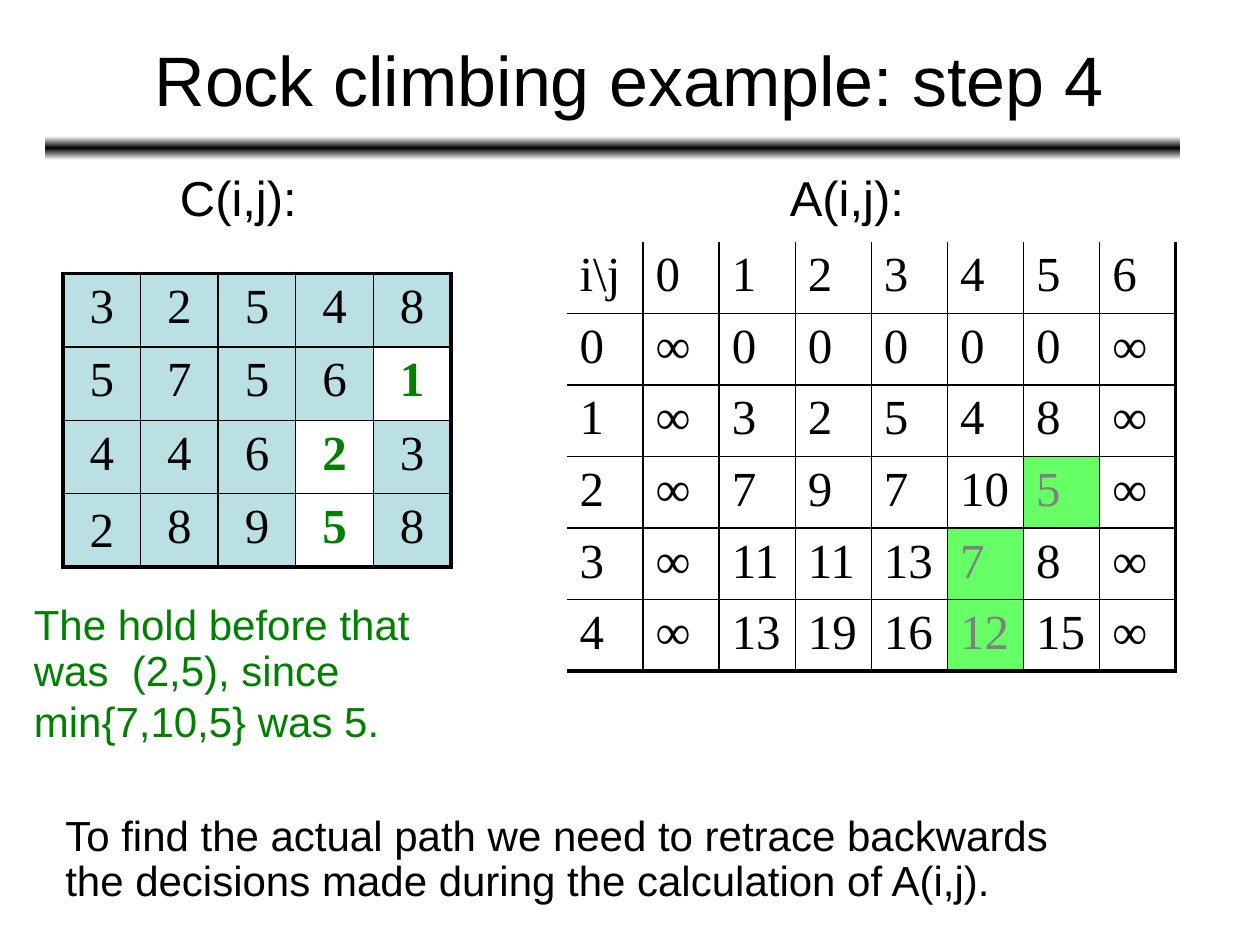
from copy import deepcopy

from lxml.etree import SubElement
from pptx import Presentation
from pptx.dml.color import RGBColor
from pptx.enum.shapes import MSO_SHAPE as Shape
from pptx.enum.text import MSO_ANCHOR as Anchor, MSO_AUTO_SIZE as AutoSize, PP_ALIGN as Align
from pptx.oxml.ns import qn
from pptx.util import Inches, Pt

THEME = {
    "sans": "Arial", "serif": "Times New Roman",
    "title": 40, "large": 28, "body": 24,
    "black": "000000", "white": "FFFFFF", "green": "008000", "gray": "808080",
    "hold": "BBE0E3", "path": "66FF66",
    "thin": 1, "thick": 2.25,
}
NO_STYLE_TABLE = "{2D5ABB26-0587-4C30-8999-92F81FD0307C}"

TITLE = "Rock climbing example: step 4"
COSTS = [
    [3, 2, 5, 4, 8],
    [5, 7, 5, 6, 1],
    [4, 4, 6, 2, 3],
    [2, 8, 9, 5, 8],
]
COST_PATH = {(1, 4), (2, 3), (3, 3)}
TOTALS = [
    ["i\\j", 0, 1, 2, 3, 4, 5, 6],
    [0, "∞", 0, 0, 0, 0, 0, "∞"],
    [1, "∞", 3, 2, 5, 4, 8, "∞"],
    [2, "∞", 7, 9, 7, 10, 5, "∞"],
    [3, "∞", 11, 11, 13, 7, 8, "∞"],
    [4, "∞", 13, 19, 16, 12, 15, "∞"],
]
TOTAL_PATH = {(3, 6), (4, 5), (5, 5)}

# Each text: box, then paragraphs made of (text, size, colour) runs
TEXTS = [
    ((1.33, 1.33, 1.14, 0.52), [[("C(i,j):", "large", "black")]]),
    ((6.17, 1.33, 1.16, 0.52), [[("A(i,j):", "large", "black")]]),
    ((0.42, 6.42, 8.76, 0.82), [
        [("To find the actual path we need to retrace backwards", "body", "black")],
        [("the decisions made during the calculation of A(i,j).", "body", "black")],
    ]),
    ((0.17, 4.75, 4.08, 1.24), [
        [("The hold before that", "body", "green")],
        [("was  (2,5), since", "body", "green")],
        [("min{7,10,5} was 5.", "body", "green"), (" ", "large", "path")],
    ]),
]


def color(name):
    return RGBColor.from_string(THEME[name])


def add_run(paragraph, text, size, color_name, font="sans", bold=False):
    run = paragraph.add_run()
    run.text = str(text)
    run.font.name = THEME[font]
    run.font.size = Pt(THEME[size])
    run.font.bold = bold
    run.font.color.rgb = color(color_name)


def set_borders(cell, widths):
    """Draw the left, right, top and bottom borders; None leaves one out."""
    properties = cell._tc.get_or_add_tcPr()
    for side, width in zip("LRTB", widths):
        line = SubElement(properties, qn(f"a:ln{side}"))
        if width is None:
            SubElement(line, qn("a:noFill"))
            continue
        line.set("w", str(Pt(THEME[width])))
        fill = SubElement(line, qn("a:solidFill"))
        SubElement(fill, qn("a:srgbClr")).set("val", THEME["black"])


def add_grid(slide, values, left, top, cell_width, cell_height, edges, align, style_for):
    """Add a table; edges are the outer borders, style_for gives fill, text colour, bold."""
    rows, columns = len(values), len(values[0])
    frame = slide.shapes.add_table(
        rows, columns, Inches(left), Inches(top),
        Inches(cell_width * columns), Inches(cell_height * rows))
    table = frame.table
    table.first_row = table.horz_banding = False
    table._tbl.tblPr.find(qn("a:tableStyleId")).text = NO_STYLE_TABLE
    for column in table.columns:
        column.width = Inches(cell_width)
    for row in table.rows:
        row.height = Inches(cell_height)
    for r, row_values in enumerate(values):
        for c, value in enumerate(row_values):
            cell = table.cell(r, c)
            on_edge = (c == 0, c == columns - 1, r == 0, r == rows - 1)
            set_borders(cell, [edge if outer else "thin" for edge, outer in zip(edges, on_edge)])
            fill, text_color, bold = style_for((r, c))
            if fill:
                cell.fill.solid()
                cell.fill.fore_color.rgb = color(fill)
            else:
                cell.fill.background()
            paragraph = cell.text_frame.paragraphs[0]
            paragraph.alignment = align
            add_run(paragraph, value, "large", text_color, "serif", bold)
    return table


def add_text(slide, box, paragraphs):
    frame = slide.shapes.add_textbox(*map(Inches, box)).text_frame
    frame.word_wrap = True
    frame.auto_size = AutoSize.SHAPE_TO_FIT_TEXT
    for index, runs in enumerate(paragraphs):
        paragraph = frame.add_paragraph() if index else frame.paragraphs[0]
        paragraph.line_spacing = 0.9
        for run in runs:
            add_run(paragraph, *run)


def add_title_bar(slide):
    bar = slide.shapes.add_shape(
        Shape.ROUNDED_RECTANGLE, Inches(0.36), Inches(1.08), Inches(9.01), Inches(0.19))
    bar.shadow.inherit = False
    bar.line.fill.background()
    bar.fill.gradient()
    bar.fill.gradient_angle = 90
    stop_list = bar._element.spPr.find(qn("a:gradFill")).find(qn("a:gsLst"))
    stop_list.append(deepcopy(stop_list[0]))
    for index, (stop, name) in enumerate(zip(bar.fill.gradient_stops, ("white", "black", "white"))):
        stop.position = index / 2
        stop.color.rgb = color(name)
    slide.shapes._spTree.insert(2, bar._element)  # behind the title


def set_title(slide):
    title = slide.shapes.title
    title.left, title.top, title.width, title.height = map(Inches, (0.74, 0, 8.5, 1.25))
    title.text_frame.vertical_anchor = Anchor.MIDDLE
    paragraph = title.text_frame.paragraphs[0]
    paragraph.alignment = Align.CENTER
    add_run(paragraph, TITLE, "title", "black")


def main():
    presentation = Presentation()
    presentation.slide_width, presentation.slide_height = Inches(10), Inches(7.5)
    slide = presentation.slides.add_slide(presentation.slide_layouts[5])
    add_title_bar(slide)
    set_title(slide)
    costs = add_grid(
        slide, COSTS, 0.5, 2.17, 0.616, 0.583, ["thick"] * 4, Align.CENTER,
        lambda place: ("white", "green", True) if place in COST_PATH else ("hold", "black", False))
    costs.cell(3, 0).vertical_anchor = Anchor.MIDDLE
    add_grid(
        slide, TOTALS, 4.5, 1.92, 0.604, 0.568, [None, "thick", None, "thick"], Align.LEFT,
        lambda place: ("path", "gray", False) if place in TOTAL_PATH else (None, "black", False))
    for box, paragraphs in TEXTS:
        add_text(slide, box, paragraphs)
    presentation.save("out.pptx")


if __name__ == "__main__":
    main()
